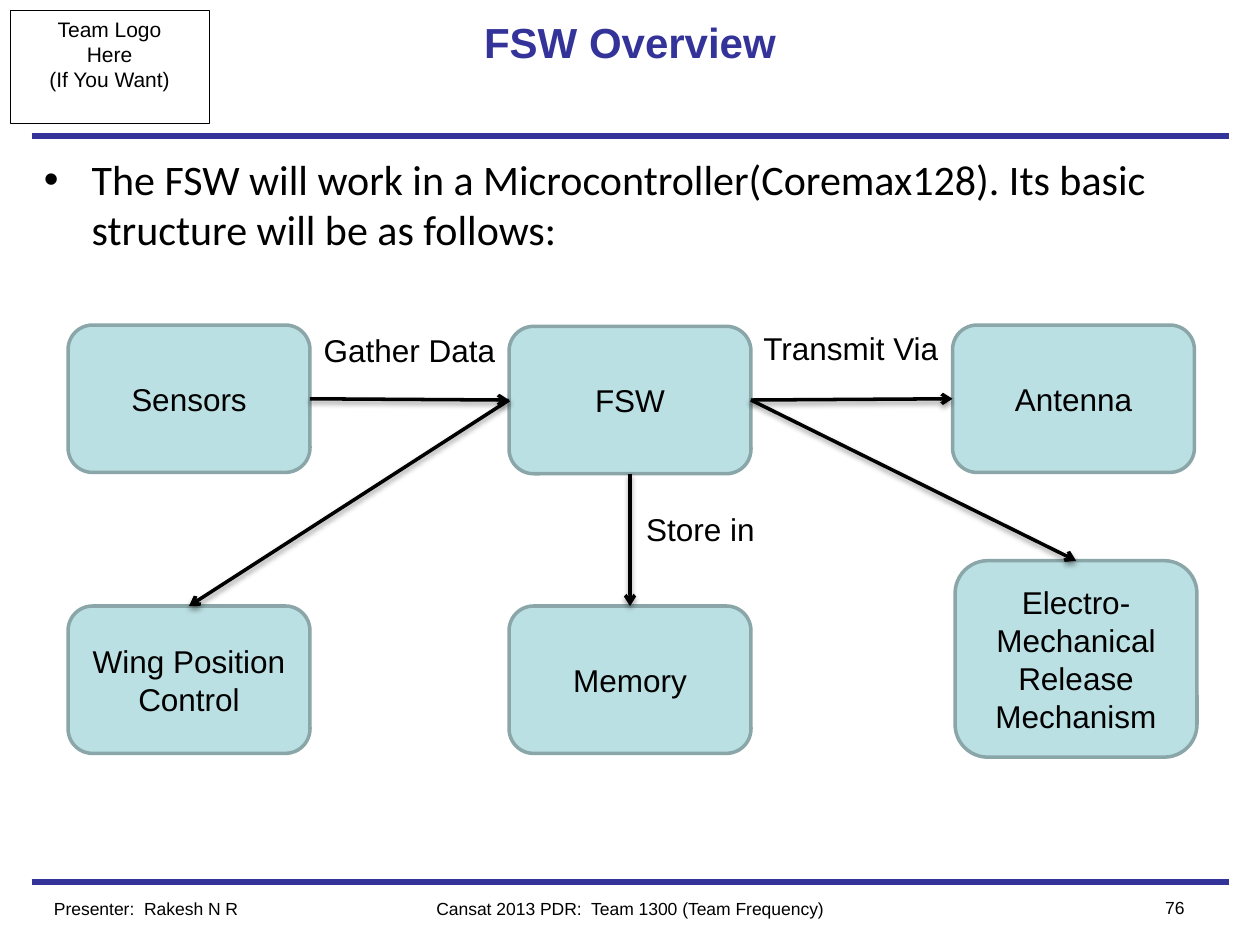
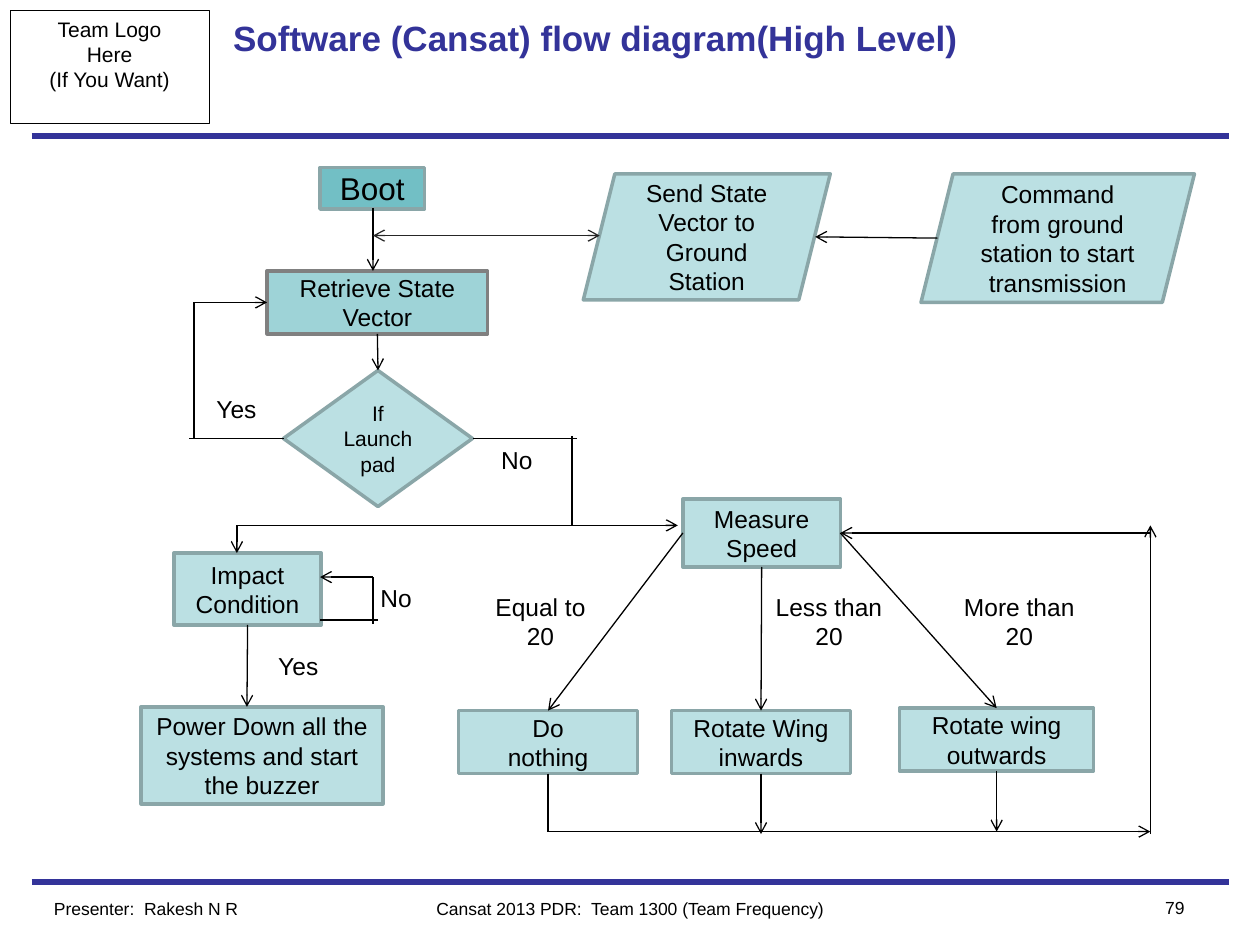
from dataclasses import dataclass
from typing import NamedTuple

from lxml import etree
from pptx import Presentation
from pptx import util as u
from pptx.dml.color import RGBColor
from pptx.enum import shapes, text
from pptx.oxml.ns import qn

SHAPE = shapes.MSO_SHAPE
ALIGN = text.PP_ALIGN
ANCHOR = text.MSO_ANCHOR


class Point(NamedTuple):
    x: float
    y: float


@dataclass(frozen=True)
class Theme:
    navy: str = "333399"
    black: str = "000000"
    dark_grey: str = "262626"
    grey: str = "808080"
    edge: str = "8AA6A8"
    pale: str = "BBE0E3"
    mid: str = "9ED3D7"
    deep: str = "72BFC5"
    font: str = "Arial"
    body_font: str = "Calibri"
    title_size: float = 24
    long_title_size: float = 20
    body_size: float = 24
    block_size: float = 18
    step_size: float = 14
    small_size: float = 12
    footer_size: float = 10
    band_line: float = 3
    node_line: float = 2
    arrow_line: float = 0.75


THEME = Theme()


@dataclass(frozen=True)
class Node:
    content: str
    left: float
    top: float
    width: float
    height: float
    kind: SHAPE = SHAPE.RECTANGLE
    size: float = THEME.step_size
    fill: str = THEME.pale
    edge: str = THEME.edge

    @property
    def north(self) -> Point:
        return Point(self.left + self.width / 2, self.top)

    @property
    def south(self) -> Point:
        return Point(self.left + self.width / 2, self.top + self.height)

    @property
    def west(self) -> Point:
        return Point(self.left, self.top + self.height / 2)

    @property
    def east(self) -> Point:
        return Point(self.left + self.width, self.top + self.height / 2)


@dataclass(frozen=True)
class Label:
    content: str
    left: float
    top: float
    width: float
    height: float = 0.34
    size: float = THEME.step_size
    align: ALIGN = ALIGN.LEFT
    wrap: bool = False


@dataclass(frozen=True)
class Link:
    start: Point
    end: Point
    tail: bool = True
    head: bool = False
    color: str = THEME.black
    weight: float = THEME.arrow_line
    shadow: bool = False


def write(frame, content: str, *, size: float, color: str = THEME.black,
          font: str = THEME.font, bold: bool = False, align=ALIGN.LEFT,
          anchor=ANCHOR.TOP, wrap: bool = True, bullet: str = "") -> None:
    frame.text = content
    frame.word_wrap = wrap
    frame.auto_size = text.MSO_AUTO_SIZE.NONE
    frame.vertical_anchor = anchor
    for para in frame.paragraphs:
        para.alignment = align
        if bullet:
            props = para._p.get_or_add_pPr()
            props.set("marL", str(u.Inches(0.38)))
            props.set("indent", str(u.Inches(-0.38)))
            etree.SubElement(props, qn("a:buFont")).set("typeface", THEME.font)
            etree.SubElement(props, qn("a:buChar")).set("char", bullet)
        for span in para.runs:
            span.font.name = font
            span.font.size = u.Pt(size)
            span.font.bold = bold
            span.font.color.rgb = RGBColor.from_string(color)


def frame_of(item) -> tuple:
    return tuple(u.Inches(n) for n in (item.left, item.top, item.width, item.height))


def add_label(page, label: Label, **style) -> None:
    box = page.shapes.add_textbox(*frame_of(label))
    write(box.text_frame, label.content, size=label.size, align=label.align,
          wrap=label.wrap, **style)


def add_node(page, node: Node) -> None:
    box = page.shapes.add_shape(node.kind, *frame_of(node))
    box.shadow.inherit = False
    box.fill.solid()
    box.fill.fore_color.rgb = RGBColor.from_string(node.fill)
    box.line.color.rgb = RGBColor.from_string(node.edge)
    box.line.width = u.Pt(THEME.node_line)
    write(box.text_frame, node.content, size=node.size, align=ALIGN.CENTER,
          anchor=ANCHOR.MIDDLE)


def add_link(page, link: Link) -> None:
    line = page.shapes.add_connector(
        shapes.MSO_CONNECTOR.STRAIGHT,
        *(u.Inches(n) for n in (*link.start, *link.end)))
    line.line.color.rgb = RGBColor.from_string(link.color)
    line.line.width = u.Pt(link.weight)
    for tag, shown in (("a:headEnd", link.head), ("a:tailEnd", link.tail)):
        if shown:
            etree.SubElement(line.get_or_add_ln(), qn(tag)).set("type", "arrow")
    effects = etree.SubElement(line._element.spPr, qn("a:effectLst"))
    if link.shadow:
        outer = etree.SubElement(effects, qn("a:outerShdw"), blurRad="39400",
                                 dist="20300", dir="5400000", rotWithShape="0")
        tint = etree.SubElement(outer, qn("a:srgbClr"), val=THEME.black)
        etree.SubElement(tint, qn("a:alpha"), val="38000")


def add_page(deck, title: str, number: int, *, size: float, align):
    page = deck.slides.add_slide(deck.slide_layouts[5])
    for y in (7, 1.08):
        add_link(page, Link(Point(0.25, y), Point(9.75, y), tail=False,
                            color=THEME.navy, weight=THEME.band_line))
    badge = page.shapes.add_shape(
        SHAPE.RECTANGLE, *(u.Inches(n) for n in (0.08, 0.08, 1.58, 0.9)))
    badge.shadow.inherit = False
    badge.fill.background()
    badge.line.color.rgb = RGBColor.from_string(THEME.black)
    badge.line.width = u.Pt(0.5)
    write(badge.text_frame, "Team Logo\nHere\n(If You Want)",
          size=THEME.small_size, align=ALIGN.CENTER, wrap=False)

    heading = page.shapes.title
    heading.left, heading.top = u.Inches(1.75), u.Inches(0.08)
    heading.width, heading.height = u.Inches(6.5), u.Inches(0.92)
    write(heading.text_frame, title, size=size, color=THEME.navy, bold=True,
          align=align)

    for content, left, top, width, side in (
            ("Presenter:  Rakesh N R", 0.33, 7.08, 2.5, ALIGN.LEFT),
            ("Cansat 2013 PDR:  Team 1300 (Team Frequency)", 3, 7.08, 4, ALIGN.CENTER),
            (str(number), 8.75, 7.07, 0.75, ALIGN.RIGHT)):
        add_label(page, Label(content, left, top, width, 0.27,
                              THEME.footer_size, side, True))
    return page


def draw(page, nodes, links, labels) -> None:
    for node in nodes:
        add_node(page, node)
    for link in links:
        add_link(page, link)
    for label in labels:
        add_label(page, label)


def block(content: str, left: float, top: float, height: float = 1.17) -> Node:
    return Node(content, left, top, 1.92, height, SHAPE.ROUNDED_RECTANGLE,
                THEME.block_size)


def build_overview(deck) -> None:
    page = add_page(deck, "FSW Overview", 76, size=THEME.title_size,
                    align=ALIGN.CENTER)
    intro = Label("The FSW will work in a Microcontroller(Coremax128). Its basic "
                  "structure will be as follows:", 0.25, 1.17, 9.5, 1,
                  THEME.body_size, wrap=True)
    add_label(page, intro, font=THEME.body_font, bullet="•")

    upper, lower = 2.58, 4.81
    sensors = block("Sensors", 0.54, upper)
    software = block("FSW", 4.04, upper + 0.01)
    antenna = block("Antenna", 7.56, upper)
    wing = block("Wing Position Control", 0.54, lower)
    memory = block("Memory", 4.04, lower)
    release = block("Electro-Mechanical Release Mechanism", 7.58, 4.45, 1.56)

    routes = ((sensors.east, software.west), (software.east, antenna.west),
              (software.south, memory.north), (software.east, release.north),
              (software.west, wing.north))
    links = [Link(start, end, weight=THEME.node_line, shadow=True)
             for start, end in routes]
    labels = [Label(content, left, top, width, 0.4, THEME.block_size)
              for content, left, top, width in (
                  ("Gather Data", 2.47, 2.58, 1.58),
                  ("Transmit Via", 5.96, 2.56, 1.6),
                  ("Store in", 5.03, 4, 1.07))]
    draw(page, (sensors, software, antenna, wing, memory, release), links, labels)


def build_flow(deck) -> None:
    page = add_page(deck, "Software (Cansat) flow diagram(High Level)", 79,
                    size=THEME.long_title_size, align=ALIGN.LEFT)
    boot = Node("Boot", 2.54, 1.33, 0.83, 0.33, size=THEME.block_size,
                fill=THEME.deep)
    retrieve = Node("Retrieve State Vector", 2.12, 2.15, 1.75, 0.5,
                    fill=THEME.mid, edge=THEME.grey)
    launch = Node("If Launch pad", 2.25, 2.94, 1.5, 1.08,
                  SHAPE.FLOWCHART_DECISION, THEME.small_size)
    send = Node("Send State Vector to Ground Station", 4.63, 1.38, 1.96, 1,
                SHAPE.PARALLELOGRAM)
    command = Node("Command\vfrom ground station to start transmission",
                   7.31, 1.38, 2.17, 1.02, SHAPE.PARALLELOGRAM)
    speed = Node("Measure\nSpeed", 5.42, 3.96, 1.25, 0.54)
    impact = Node("Impact Condition", 1.38, 4.39, 1.17, 0.57)
    power = Node("Power Down all the systems and start the buzzer",
                 1.12, 5.61, 1.92, 0.77)
    nothing = Node("Do\nnothing", 3.64, 5.64, 1.42, 0.5)
    inwards = Node("Rotate Wing inwards", 5.33, 5.64, 1.42, 0.5)
    outwards = Node("Rotate wing outwards", 7.14, 5.62, 1.54, 0.5)

    spine, yes_x, no_x, loop_x, split_y, return_y = 2.96, 1.54, 4.54, 9.13, 4.17, 6.6
    arrows = (
        (Point(spine, 1.65), Point(spine, 2.15)),
        (Point(7.44, 1.89), Point(6.47, 1.88)),
        (retrieve.south, launch.north),
        (Point(yes_x, 2.4), retrieve.west),
        (Point(no_x, split_y), Point(5.38, split_y)),
        (Point(1.88, split_y), Point(1.88, impact.top)),
        (Point(spine, 4.58), Point(2.54, 4.58)),
        (impact.south, Point(1.96, power.top)),
        (speed.west, nothing.north),
        (speed.south, inwards.north),
        (speed.east, outwards.north),
        (Point(nothing.south.x, return_y), Point(loop_x, return_y)),
        (inwards.south, Point(inwards.south.x, 6.62)),
        (outwards.south, Point(outwards.south.x, return_y)),
        (Point(loop_x, 6.62), Point(loop_x, split_y)),
        (Point(loop_x, speed.east.y), speed.east),
    )
    plain = (
        (launch.west, Point(1.5, 3.48)),
        (Point(yes_x, 3.48), Point(yes_x, 2.4)),
        (launch.east, Point(4.58, 3.48)),
        (Point(no_x, 3.46), Point(no_x, split_y)),
        (Point(no_x, split_y), Point(1.88, split_y)),
        (Point(3, 4.92), Point(2.54, 4.92)),
        (Point(spine, 4.95), Point(spine, 4.58)),
        (nothing.south, Point(nothing.south.x, return_y)),
    )
    links = [Link(*route) for route in arrows]
    links += [Link(*route, tail=False) for route in plain]
    links.append(Link(Point(spine, 1.87), Point(4.76, 1.87), head=True,
                      color=THEME.dark_grey))

    labels = [Label(*place, wrap=True) for place in (
        ("Yes", 1.62, 3.08, 0.67), ("No", 3.88, 3.48, 0.67),
        ("No", 2.92, 4.58, 0.71), ("Yes", 2.11, 5.12, 0.58))]
    labels += [Label(f"{case}\n20", left, 4.65, width, 0.57, align=ALIGN.CENTER)
               for case, left, width in (("Equal to", 3.83, 0.92),
                                         ("Less than", 6.03, 1.1),
                                         ("More than", 7.52, 1.14))]
    draw(page, (boot, retrieve, launch, send, command, speed, impact, power,
                nothing, inwards, outwards), links, labels)


def main() -> None:
    deck = Presentation()
    deck.slide_width, deck.slide_height = u.Inches(10), u.Inches(7.5)
    build_overview(deck)
    build_flow(deck)
    deck.save("out.pptx")


if __name__ == "__main__":
    main()
